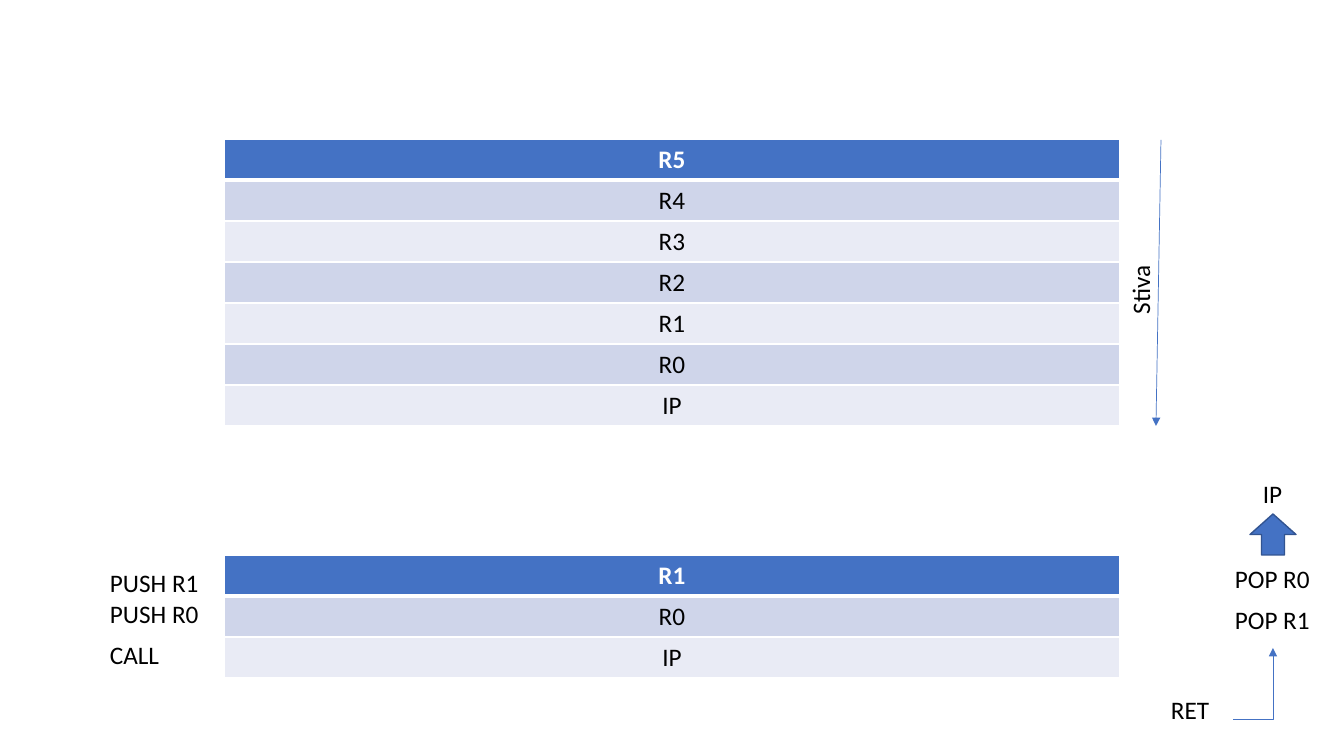
from lxml import etree
from pptx import Presentation
from pptx.dml.color import RGBColor
from pptx.enum.shapes import MSO_CONNECTOR, MSO_SHAPE
from pptx.enum.text import MSO_AUTO_SIZE, PP_ALIGN
from pptx.oxml.ns import qn
from pptx.util import Pt

STRAIGHT, ELBOW = MSO_CONNECTOR.STRAIGHT, MSO_CONNECTOR.ELBOW
UP_ARROW = MSO_SHAPE.UP_ARROW
CENTER = PP_ALIGN.CENTER
FIT = MSO_AUTO_SIZE.SHAPE_TO_FIT_TEXT

BLUE = RGBColor(0x44, 0x72, 0xC4)
DARK_BLUE = RGBColor(0x32, 0x54, 0x91)
BANDS = (RGBColor(0xCF, 0xD5, 0xEA), RGBColor(0xE9, 0xEB, 0xF5))
WHITE = RGBColor(0xFF, 0xFF, 0xFF)
BLACK = RGBColor(0, 0, 0)
FONT, SIZE = "Calibri", Pt(18)

# Content, lengths in px
SLIDE_W, SLIDE_H = 1344, 756
STACK_LEFT, STACK_W, ROW_H = 224, 896, 41
STACKS = [
    (139, ["R5", "R4", "R3", "R2", "R1", "R0", "IP"]),
    (555, ["R1", "R0", "IP"]),
]
LABELS = [  # text, left, top, width, height, direction
    ("Stiva", 1120, 262, 50, 62, "vert270"),
    ("PUSH R1", 100, 562, 114, 40, "horz"),
    ("PUSH R0", 100, 593, 114, 40, "horz"),
    ("CALL", 100, 634, 76, 40, "horz"),
    ("RET", 1161, 689, 66, 40, "horz"),
    ("POP R1", 1225, 599, 100, 40, "horz"),
    ("POP R0", 1225, 558, 100, 40, "horz"),
    ("IP", 1253, 473, 48, 40, "horz"),
]
STACK_ARROW = (1161, 140, 1156, 426)
RET_ARROW = (1233, 720, 1273, 648)
POP_ARROW = (1250, 514, 46, 41)


def px(n):
    return round(n * 12192000 / SLIDE_W)


def write(p, text, color, bold=False):
    r = p.add_run()
    r.text = text
    r.font.name, r.font.size, r.font.bold = FONT, SIZE, bold
    r.font.color.rgb = color


def underline_cell(cell, width):
    ln = etree.Element(qn("a:lnB"), w=str(width))
    fill = etree.SubElement(ln, qn("a:solidFill"))
    etree.SubElement(fill, qn("a:srgbClr"), val=str(WHITE))
    cell._tc.get_or_add_tcPr().insert(0, ln)


def add_stack(s, top, names):
    table = s.shapes.add_table(len(names), 1, px(STACK_LEFT), px(top),
                               px(STACK_W), px(ROW_H * len(names))).table
    for i, name in enumerate(names):
        table.rows[i].height = px(ROW_H)
        cell = table.cell(i, 0)
        cell.fill.solid()
        cell.fill.fore_color.rgb = BANDS[(i - 1) % 2] if i else BLUE
        p = cell.text_frame.paragraphs[0]
        p.alignment = CENTER
        write(p, name, BLACK if i else WHITE, bold=i == 0)
    underline_cell(table.cell(0, 0), Pt(3))


def add_label(s, text, left, top, width, height, direction):
    tf = s.shapes.add_textbox(px(left), px(top), px(width), px(height)).text_frame
    tf.word_wrap = False
    tf.auto_size = FIT
    tf._txBody.bodyPr.set("vert", direction)
    write(tf.paragraphs[0], text, BLACK)


def add_arrow(s, kind, x1, y1, x2, y2):
    line = s.shapes.add_connector(kind, px(x1), px(y1), px(x2), px(y2))
    line.line.color.rgb = BLUE
    line.line.width = Pt(0.5)
    etree.SubElement(line.line._get_or_add_ln(), qn("a:tailEnd"), type="triangle")
    etree.SubElement(line._element.spPr, qn("a:effectLst"))
    return line


def add_corner_arrow(s, x1, y1, x2, y2):
    # Lay the elbow flat around its centre, then turn it a quarter clockwise
    cx, cy = (x1 + x2) / 2, (y1 + y2) / 2
    half_w, half_h = (y1 - y2) / 2, (x2 - x1) / 2
    line = add_arrow(s, ELBOW, cx + half_w, cy + half_h, cx - half_w, cy - half_h)
    spPr = line._element.spPr
    spPr.find(qn("a:xfrm")).set("rot", "5400000")
    adjust = spPr.find(qn("a:prstGeom")).find(qn("a:avLst"))
    etree.SubElement(adjust, qn("a:gd"), name="adj1", fmla="val 1000")


def main():
    prs = Presentation()
    prs.slide_width, prs.slide_height = px(SLIDE_W), px(SLIDE_H)
    s = prs.slides.add_slide(prs.slide_layouts[6])

    # Stacks and their labels
    for top, names in STACKS:
        add_stack(s, top, names)
    for label in LABELS:
        add_label(s, *label)

    # Arrows
    add_arrow(s, STRAIGHT, *STACK_ARROW)
    add_corner_arrow(s, *RET_ARROW)
    sp = s.shapes.add_shape(UP_ARROW, *map(px, POP_ARROW))
    sp.shadow.inherit = False
    sp.fill.solid()
    sp.fill.fore_color.rgb = BLUE
    sp.line.color.rgb = DARK_BLUE
    sp.line.width = Pt(1)

    prs.save("out.pptx")


if __name__ == "__main__":
    main()
